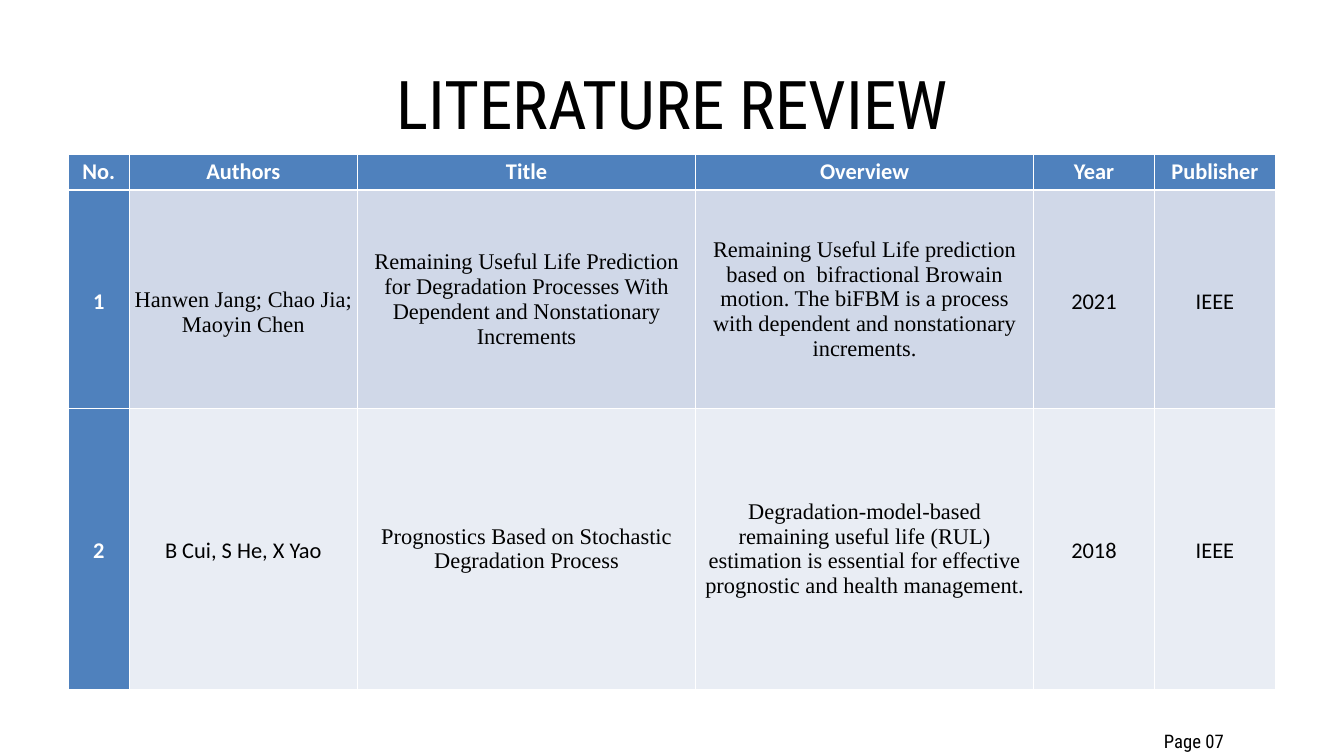
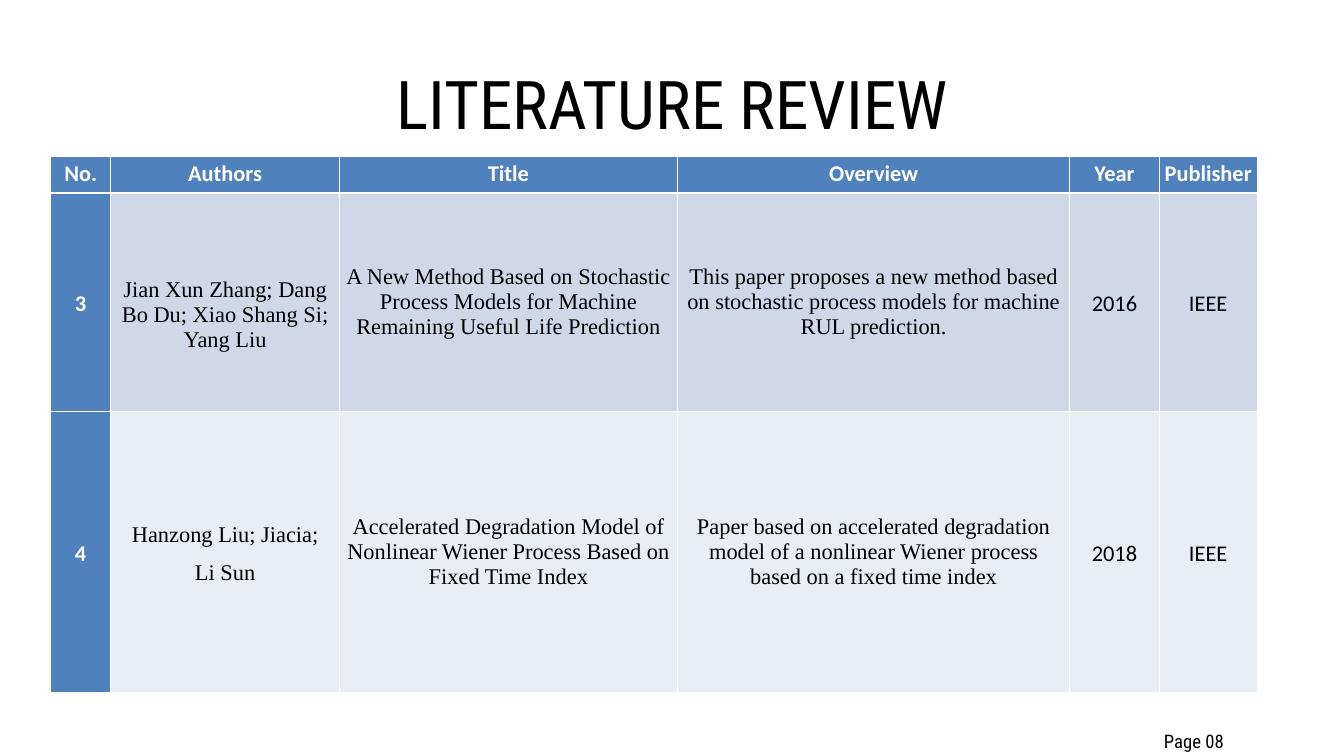
from dataclasses import dataclass

from lxml import etree
from pptx import Presentation
from pptx.dml.color import RGBColor
from pptx.enum.text import MSO_ANCHOR, MSO_AUTO_SIZE, PP_ALIGN
from pptx.oxml.ns import qn
from pptx.util import Inches, Pt

CENTER, LEFT = PP_ALIGN.CENTER, PP_ALIGN.LEFT
TOP, MIDDLE = MSO_ANCHOR.TOP, MSO_ANCHOR.MIDDLE
GROW = MSO_AUTO_SIZE.SHAPE_TO_FIT_TEXT
TITLE_ONLY = 5


@dataclass(frozen=True)
class Theme:
    black: str = "000000"
    white: str = "FFFFFF"
    accent: str = "4F81BD"
    bands: tuple = ("D0D8E8", "E9EDF4")
    display: str = "Roboto Condensed"
    sans: str = "Calibri"
    serif: str = "Times New Roman"
    title_size: int = 72
    cell_size: int = 24
    page_size: int = 20
    rule: int = 1
    header_rule: int = 3


@dataclass(frozen=True)
class TextStyle:
    font: str
    size: int
    color: str
    bold: bool = False
    align: int = CENTER
    line_spacing: object = None
    space_after: object = None


@dataclass(frozen=True)
class Paper:
    number: str
    authors: str
    title: str
    overview: str
    year: str
    publisher: str
    authors_style: TextStyle
    authors_drop: float = 0  # inches of extra margin above the authors


THEME = Theme()
LOOSE = {"line_spacing": 1.15, "space_after": Pt(10)}
TITLE = TextStyle(THEME.display, THEME.title_size, THEME.black, line_spacing=Pt(100.8))
PAGE = TextStyle(THEME.display, THEME.page_size, THEME.black, align=LEFT,
                 line_spacing=Pt(39.2))
HEADING = TextStyle(THEME.sans, THEME.cell_size, THEME.white, bold=True, **LOOSE)
SANS = TextStyle(THEME.sans, THEME.cell_size, THEME.black, **LOOSE)
SERIF = TextStyle(THEME.serif, THEME.cell_size, THEME.black)
SERIF_LOOSE = TextStyle(THEME.serif, THEME.cell_size, THEME.black, **LOOSE)

HEADINGS = ("No.", "Authors", "Title", "Overview", "Year", "Publisher")
ROW_HEIGHTS = (0.54, 3.25, 4.18)
AUTHORS_DROP = 0.39

FIRST_PAPERS = (
    Paper("1", "Hanwen Jang; Chao Jia; Maoyin Chen",
          "Remaining Useful Life Prediction for Degradation Processes With "
          "Dependent and Nonstationary Increments",
          "Remaining Useful Life prediction based on  bifractional Browain motion. "
          "The biFBM is a process with dependent and nonstationary increments.",
          "2021", "IEEE", SERIF, AUTHORS_DROP),
    Paper("2", "B Cui, S He, X Yao",
          "Prognostics Based on Stochastic Degradation Process",
          "Degradation-model-based remaining useful life (RUL) estimation is "
          "essential for effective prognostic and health management.",
          "2018", "IEEE", SANS),
)
SECOND_PAPERS = (
    Paper("3", "Jian Xun Zhang; Dang Bo Du; Xiao Shang Si; Yang Liu",
          "A New Method Based on Stochastic Process Models for Machine "
          "Remaining Useful Life Prediction",
          "This paper proposes a new method based on stochastic process models "
          "for machine RUL prediction.",
          "2016", "IEEE", SERIF, AUTHORS_DROP),
    Paper("4", "Hanzong Liu; Jiacia;\nLi Sun",
          "Accelerated Degradation Model of Nonlinear Wiener Process Based on "
          "Fixed Time Index",
          "Paper based on accelerated degradation model of a nonlinear Wiener "
          "process based on a fixed time index",
          "2018", "IEEE", SERIF_LOOSE),
)


def write_text(frame, text, style):
    frame.text = text
    for paragraph in frame.paragraphs:
        paragraph.alignment = style.align
        paragraph.line_spacing = style.line_spacing
        paragraph.space_after = style.space_after
        font = paragraph.font
        font.name, font.size, font.bold = style.font, Pt(style.size), style.bold
        font.color.rgb = RGBColor.from_string(style.color)


def fit_frame(frame):
    """Wrap text from the top of a box without insets."""
    frame.word_wrap = True
    frame.auto_size = GROW
    frame.vertical_anchor = TOP
    frame.margin_left = frame.margin_right = 0
    frame.margin_top = frame.margin_bottom = 0


def add_title(slide, text):
    title = slide.shapes.title
    title.left, title.top = Inches(5.14), Inches(0.73)
    title.width, title.height = Inches(9.73), Inches(1.35)
    fit_frame(title.text_frame)
    write_text(title.text_frame, text, TITLE)


def add_page_number(slide, number):
    box = slide.shapes.add_textbox(Inches(17.32), Inches(10.65), Inches(1.6), Inches(0.48))
    fit_frame(box.text_frame)
    write_text(box.text_frame, f"Page {number:02}", PAGE)


def set_borders(cell, top, bottom):
    properties = cell._tc.get_or_add_tcPr()
    widths = {"a:lnL": THEME.rule, "a:lnR": THEME.rule, "a:lnT": top, "a:lnB": bottom}
    for side, width in widths.items():
        line = etree.SubElement(properties, qn(side), w=str(Pt(width)))
        fill = etree.SubElement(line, qn("a:solidFill"))
        etree.SubElement(fill, qn("a:srgbClr"), val=THEME.white)


def format_cell(cell, text, style, fill, anchor=MIDDLE, top=THEME.rule,
                bottom=THEME.rule, drop=0):
    cell.margin_left = cell.margin_right = Inches(0.07)
    cell.margin_top, cell.margin_bottom = Inches(drop), 0
    cell.vertical_anchor = anchor
    set_borders(cell, top, bottom)
    cell.fill.solid()
    cell.fill.fore_color.rgb = RGBColor.from_string(fill)
    write_text(cell.text_frame, text, style)


def add_papers_table(slide, left, top, column_widths, papers):
    table = slide.shapes.add_table(
        len(papers) + 1, len(HEADINGS), Inches(left), Inches(top),
        Inches(sum(column_widths)), Inches(sum(ROW_HEIGHTS))).table
    for column, width in zip(table.columns, column_widths):
        column.width = Inches(width)
    for row, height in zip(table.rows, ROW_HEIGHTS):
        row.height = Inches(height)

    # Header row
    for column, heading in enumerate(HEADINGS):
        format_cell(table.cell(0, column), heading, HEADING, THEME.accent,
                    anchor=TOP, bottom=THEME.header_rule)

    # One banded row per paper
    for row, (paper, band) in enumerate(zip(papers, THEME.bands), start=1):
        entries = (
            (paper.number, HEADING, THEME.accent, 0),
            (paper.authors, paper.authors_style, band, paper.authors_drop),
            (paper.title, SERIF, band, 0),
            (paper.overview, SERIF, band, 0),
            (paper.year, SANS, band, 0),
            (paper.publisher, SANS, band, 0),
        )
        rule_above = THEME.header_rule if row == 1 else THEME.rule
        for column, (text, style, fill, drop) in enumerate(entries):
            format_cell(table.cell(row, column), text, style, fill,
                        top=rule_above, drop=drop)


def add_review_slide(deck, page, left, top, column_widths, papers):
    slide = deck.slides.add_slide(deck.slide_layouts[TITLE_ONLY])
    add_title(slide, "LITERATURE REVIEW")
    add_papers_table(slide, left, top, column_widths, papers)
    add_page_number(slide, page)


def main():
    deck = Presentation()
    deck.slide_width, deck.slide_height = Inches(20), Inches(11.25)
    add_review_slide(deck, 7, 1.02, 2.29, (0.9, 3.4, 5.03, 5.03, 1.8, 1.8), FIRST_PAPERS)
    add_review_slide(deck, 8, 0.75, 2.33, (0.9, 3.4, 5.03, 5.84, 1.33, 1.46), SECOND_PAPERS)
    deck.save("out.pptx")


if __name__ == "__main__":
    main()
